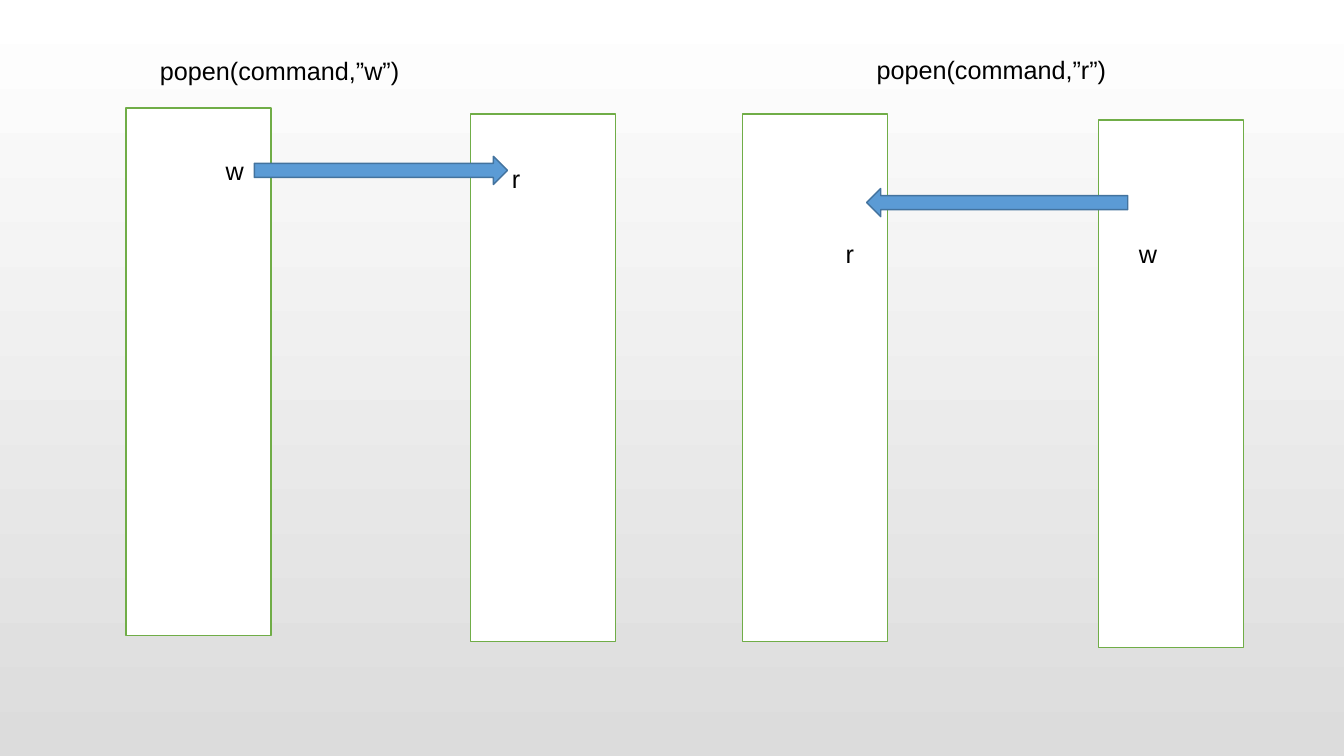
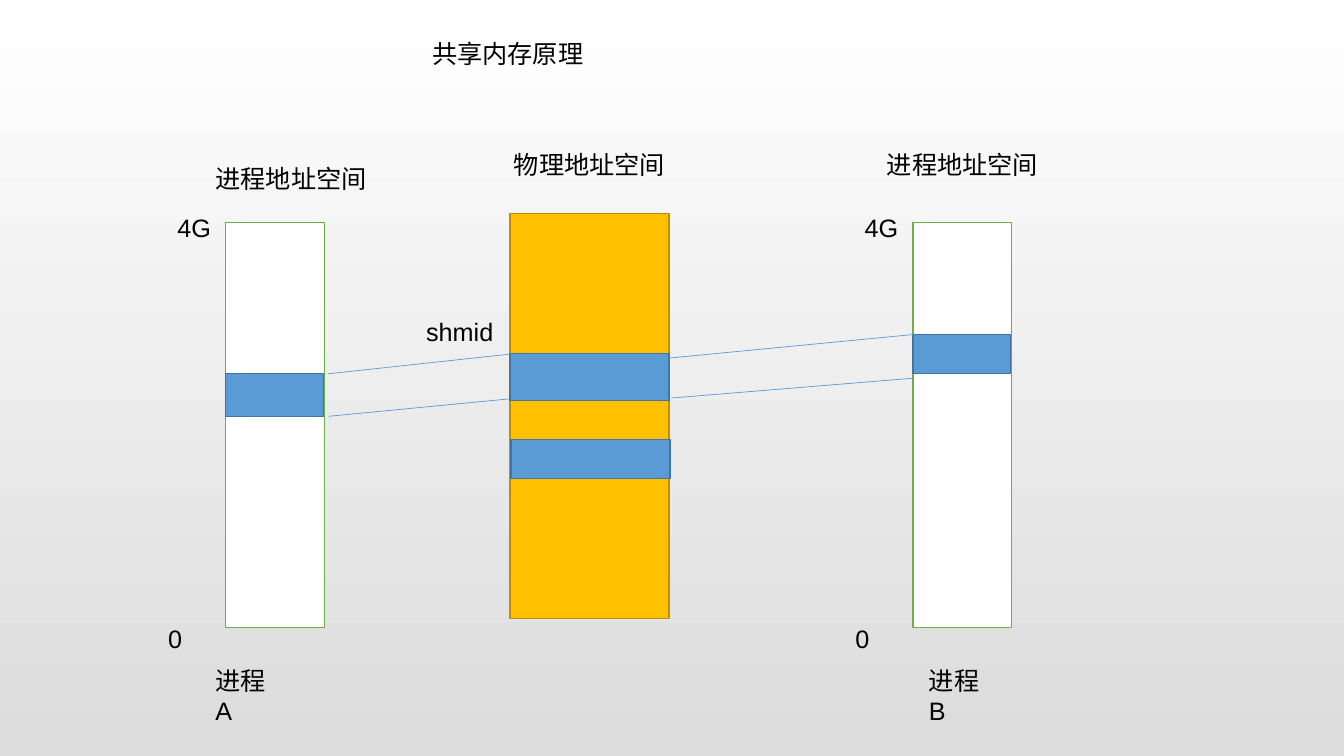
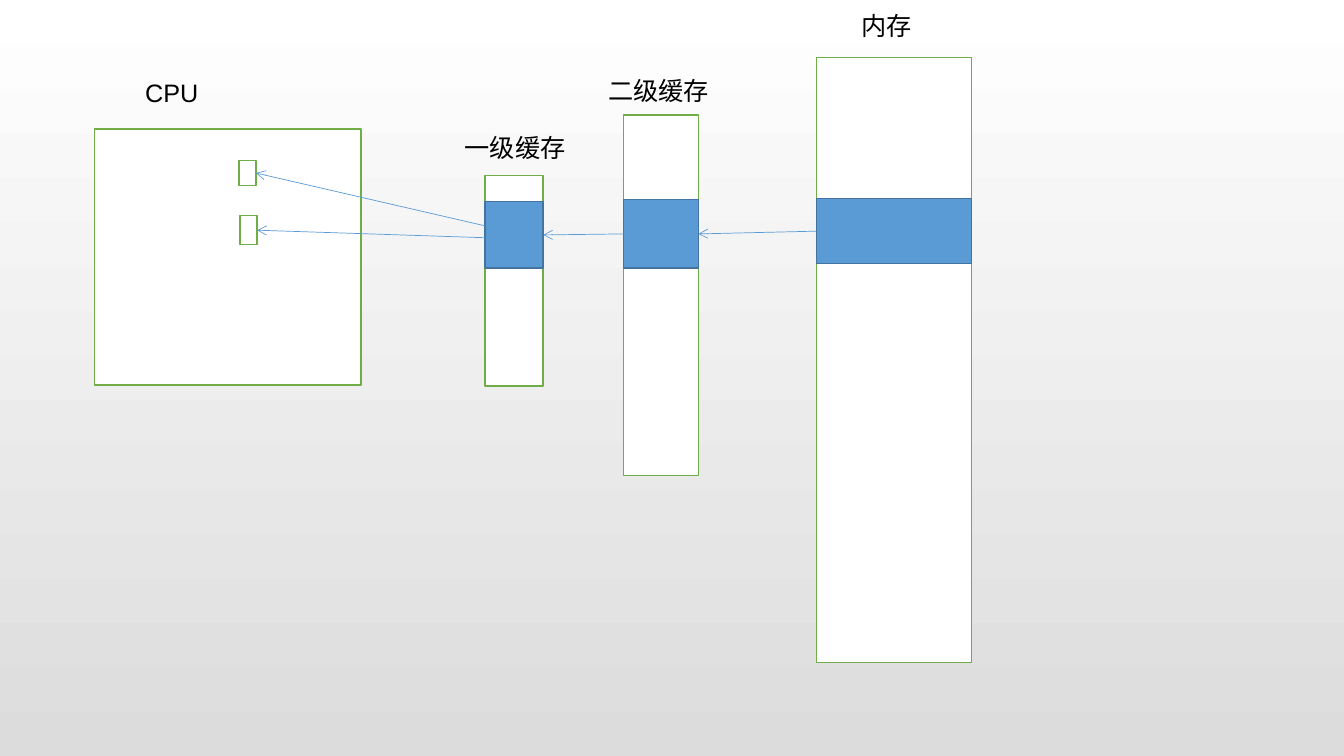
from lxml import etree
from pptx import Presentation
from pptx.dml.color import RGBColor
from pptx.enum.shapes import MSO_CONNECTOR, MSO_SHAPE
from pptx.oxml.ns import qn
from pptx.util import Cm, Pt

RECT = MSO_SHAPE.RECTANGLE
ARROW = MSO_SHAPE.RIGHT_ARROW
STRAIGHT = MSO_CONNECTOR.STRAIGHT
LEFT, RIGHT = 1, 3  # connection sites of a rectangle

# fill and line colours
FRAME = ("FFFFFF", "70AD47")
BLOCK = ("5B9BD5", "43739E")
MEMORY = ("FFC000", "BD8E00")
BACKGROUND = ("FFFFFF", "DCDCDC")
LINK = "5B9BD5"
BLACK = "000000"
FONT = {"name": "Arial", "size": Pt(18)}


def rgb(value):
    return RGBColor.from_string(value)


def set_background(master):
    fill = master.background.fill
    fill.gradient()
    fill.gradient_angle = 270
    for i, (stop, color) in enumerate(zip(fill.gradient_stops, BACKGROUND)):
        stop.position = i
        stop.color.rgb = rgb(color)


def new_slide(prs):
    return prs.slides.add_slide(prs.slide_layouts[6])


def add_box(s, x, y, w, h, style=FRAME, kind=RECT, rotation=0):
    sp = s.shapes.add_shape(kind, Cm(x), Cm(y), Cm(w), Cm(h))
    fill, line = style
    sp.shadow.inherit = False
    sp.rotation = rotation
    sp.fill.solid()
    sp.fill.fore_color.rgb = rgb(fill)
    sp.line.color.rgb = rgb(line)
    sp.line.width = Pt(1)
    return sp


def add_label(s, x, y, w, text):
    tf = s.shapes.add_textbox(Cm(x), Cm(y), Cm(w), Cm(1.02)).text_frame
    tf.word_wrap = True
    r = tf.paragraphs[0].add_run()
    r.text = text
    for key, value in FONT.items():
        setattr(r.font, key, value)
    r.font.color.rgb = rgb(BLACK)


def add_link(s, start, end, arrow=False):
    """Draw a thin line; each end is an (x, y) point or a (shape, site) joint."""
    points = [(0, 0) if hasattr(a, "shape_type") else (a, b)
              for a, b in (start, end)]
    c = s.shapes.add_connector(STRAIGHT, *[Cm(v) for pt in points for v in pt])
    for (a, b), connect in ((start, c.begin_connect), (end, c.end_connect)):
        if hasattr(a, "shape_type"):
            connect(a, b)
    c.line.color.rgb = rgb(LINK)
    c.line.width = Pt(0.5)
    if arrow:
        ln = c.line._get_or_add_ln()
        etree.SubElement(ln, qn("a:tailEnd"), type="arrow")
    etree.SubElement(c._element.spPr, qn("a:effectLst"))


def pipe_panel(s, x, y, gap, title, arrow, labels):
    """Two processes joined by a pipe; every offset counts from (x, y)."""
    for dx, dy in ((0, 0), (gap, 0.15)):
        add_box(s, x + dx, y + dy, 3.65, 13.3)
    text, dx, dy = title
    add_label(s, x + dx, y + dy, 6.7, text)
    for text, dx, dy in labels:
        add_label(s, x + dx, y + dy, 1.04, text)
    dx, dy, w, rotation = arrow
    add_box(s, x + dx, y + dy, w, 0.71, BLOCK, ARROW, rotation)


def address_space(s, x, y, title_at, block, process, process_dx):
    add_box(s, x, y, 2.49, 10.21)
    dy, h = block
    add_box(s, x, y + dy, 2.46, h, BLOCK)
    dx, dy = title_at
    for text, dx, dy, w in (("进程地址空间", dx, dy, 4.45),
                            ("4G", -1.47, -0.38, 1.4),
                            ("0", -1.7, 9.98, 0.9),
                            (process, process_dx, 11.02, 1.9)):
        add_label(s, x + dx, y + dy, w, text)


def physical_memory(s, x, y):
    w = 4.01
    add_box(s, x, y, w, 10.21, MEMORY)
    for dx, dy, h in ((0, 3.53, 1.19), (0.03, 5.69, 0.99)):
        add_box(s, x + dx, y + dy, w, h, BLOCK)
    add_label(s, x - 0.15, y - 1.73, 4.45, "物理地址空间")
    add_label(s, x - 2.36, y + 2.46, 2.3, "shmid")


def cpu(s, x, y):
    """Draw the CPU and return its two registers."""
    add_box(s, x, y, 6.71, 6.45)
    add_label(s, x + 1.02, y - 1.42, 1.95, "CPU")
    return [add_box(s, x + dx, y + dy, 0.43, h)
            for dx, dy, h in ((3.63, 0.79, 0.64), (3.66, 2.18, 0.74))]


def storage_level(s, x, y, w, h, block, title):
    """Draw one level of storage and return its highlighted block."""
    add_box(s, x, y, w, h)
    text, dx, dy, title_w = title
    add_label(s, x + dx, y + dy, title_w, text)
    dy, block_h = block
    return add_box(s, x, y + dy, w, block_h, BLOCK)


def popen_slide(prs):
    s = new_slide(prs)
    pipe_panel(s, 18.72, 2.87, 8.97, ("popen(command,”r”)", 3.12, -1.63),
               (3.12, 1.88, 6.58, 180), (("r", 2.34, 3.02), ("w", 9.73, 3)))
    pipe_panel(s, 3.18, 2.72, 8.68, ("popen(command,”w”)", 0.6, -1.45),
               (3.23, 1.22, 6.38, 0), (("w", 2.26, 1.07), ("r", 9.47, 1.27)))


def shared_memory_slide(prs):
    s = new_slide(prs)
    add_label(s, 10.64, 0.84, 4.45, "共享内存原理")
    address_space(s, 5.69, 5.61, (-0.51, -1.63), (3.81, 1.07), "进程A", -0.51)
    physical_memory(s, 12.85, 5.38)
    address_space(s, 23.01, 5.61, (-0.91, -1.96), (2.82, 0.99), "进程B", 0.15)
    for start, end in (((8.26, 9.42), (12.88, 8.92)),
                       ((8.28, 10.49), (12.85, 10.05)),
                       ((16.89, 9.02), (23.01, 8.43)),
                       ((16.92, 10.03), (23.01, 9.53))):
        add_link(s, start, end)


def cache_slide(prs):
    s = new_slide(prs)
    registers = cpu(s, 2.39, 3.25)
    memory = storage_level(s, 20.57, 1.45, 3.91, 15.24, (3.56, 1.63),
                           ("内存", 0.89, -1.32, 1.85))
    level2 = storage_level(s, 15.72, 2.9, 1.88, 9.09, (2.13, 1.73),
                           ("二级缓存", -0.64, -1.12, 3.15))
    level1 = storage_level(s, 12.22, 4.42, 1.47, 5.31, (0.66, 1.68),
                           ("一级缓存", -0.76, -1.22, 3.15))
    for source, target in ((memory, level2), (level2, level1)):
        add_link(s, (source, LEFT), (target, RIGHT), arrow=True)
    for register, y in zip(registers, (5.69, 5.99)):
        add_link(s, (12.22, y), (register, RIGHT), arrow=True)


def main():
    prs = Presentation()
    prs.slide_width, prs.slide_height = Cm(33.87), Cm(19.05)
    set_background(prs.slide_master)
    popen_slide(prs)
    shared_memory_slide(prs)
    cache_slide(prs)
    prs.save("out.pptx")


if __name__ == "__main__":
    main()
